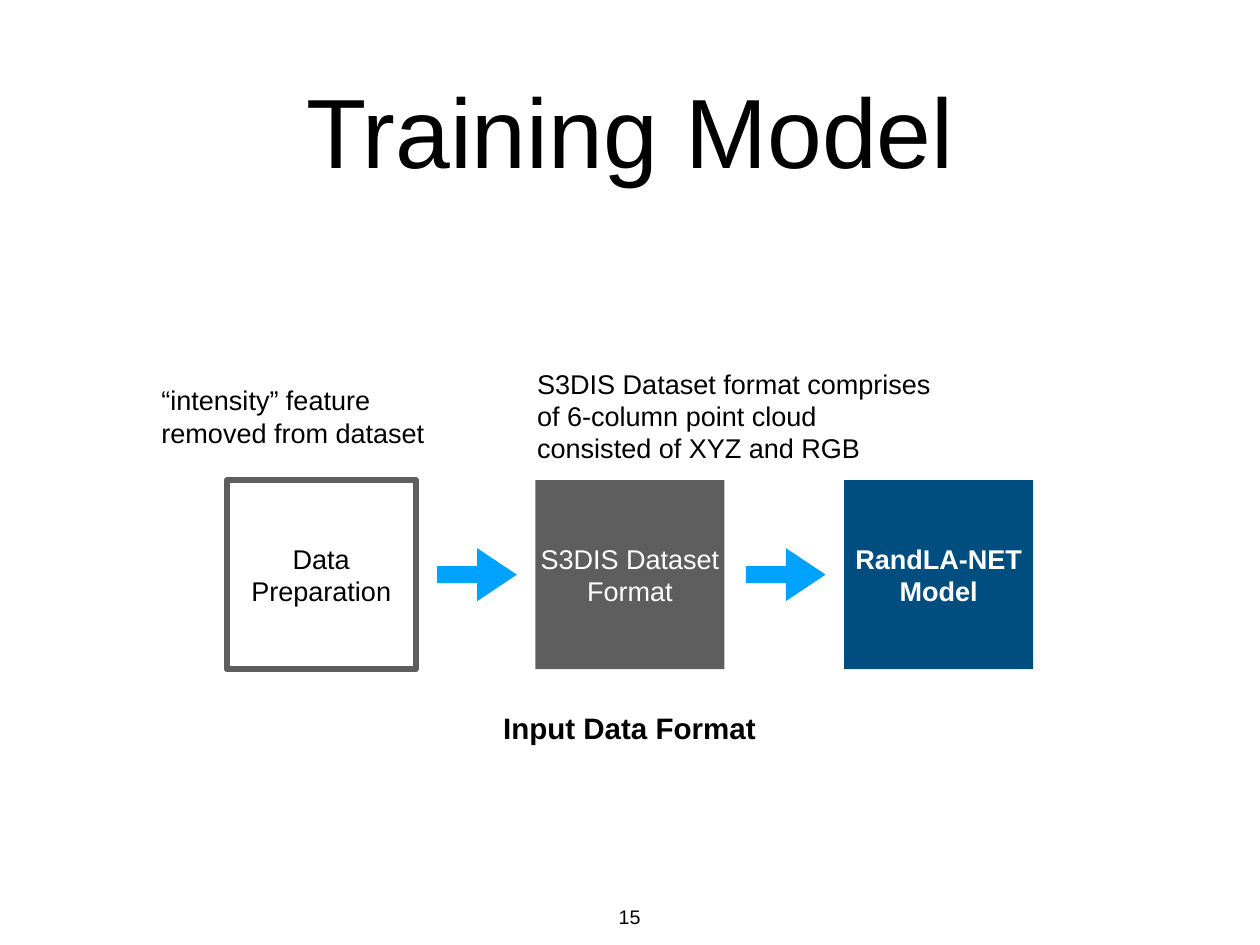
import pptx
import pptx.util
import pptx.dml.color
import pptx.enum.shapes
import pptx.enum.text

Cm = pptx.util.Cm
Pt = pptx.util.Pt
Align = pptx.enum.text.PP_ALIGN
Anchor = pptx.enum.text.MSO_ANCHOR
Preset = pptx.enum.shapes.MSO_SHAPE

THEME = {
    "font": "Arial",
    "black": "000000",
    "white": "FFFFFF",
    "grey": "5E5E5E",
    "navy": "004D80",
    "arrow": "00A2FF",
    "title": 80,
    "caption": 24,
    "body": 22,
    "number": 16,
}


def color(name):
    return pptx.dml.color.RGBColor.from_string(THEME[name])


def write(shape, text, size, ink="black", bold=False, align=Align.CENTER, anchor=Anchor.MIDDLE, wrap=True):
    frame = shape.text_frame
    frame.text = text
    frame.word_wrap = wrap
    frame.auto_size = pptx.enum.text.MSO_AUTO_SIZE.NONE
    frame.vertical_anchor = anchor
    frame.margin_left = frame.margin_right = Cm(0.13)
    frame.margin_top = frame.margin_bottom = Cm(0.13)
    para = frame.paragraphs[0]
    para.alignment = align
    for span in para.runs:
        span.font.name = THEME["font"]
        span.font.size = Pt(THEME[size])
        span.font.bold = bold
        span.font.color.rgb = color(ink)


deck = pptx.Presentation()
deck.slide_width = Cm(36.12)
deck.slide_height = Cm(27.1)
page = deck.slides.add_slide(deck.slide_layouts[5])
page.background.fill.solid()
page.background.fill.fore_color.rgb = color("white")

title = page.shapes.title
title.left, title.top, title.width, title.height = Cm(2.64), Cm(0.71), Cm(30.84), Cm(6)
write(title, "Training Model", "title")

first_left, pitch = 6.5, 8.85
stages = [
    ("Data Preparation", None, "black", False),
    ("S3DIS Dataset Format", "grey", "white", False),
    ("RandLA-NET Model", "navy", "white", True),
]
for index, (label, fill, ink, bold) in enumerate(stages):
    left = first_left + index * pitch
    box = page.shapes.add_shape(Preset.RECTANGLE, Cm(left), Cm(13.77), Cm(5.42), Cm(5.42))
    box.shadow.inherit = False
    if fill:
        box.fill.solid()
        box.fill.fore_color.rgb = color(fill)
        box.line.fill.background()
    else:
        box.fill.background()
        box.line.color.rgb = color("grey")
        box.line.width = Pt(5)
    write(box, label, "body", ink, bold)

    if index < len(stages) - 1:
        arrow = page.shapes.add_shape(Preset.RIGHT_ARROW, Cm(left + 6.03), Cm(15.72), Cm(2.29), Cm(1.52))
        arrow.shadow.inherit = False
        arrow.adjustments[0] = 0.32
        arrow.adjustments[1] = 0.75
        arrow.fill.solid()
        arrow.fill.fore_color.rgb = color("arrow")
        arrow.line.fill.background()

notes = [
    ("“intensity” feature removed from dataset", 4.5, 10.85, 8.18, 2.16),
    ("S3DIS Dataset format comprises of 6-column point cloud consisted of XYZ and RGB", 15.27, 10.36, 11.66, 3.12),
]
for text, left, top, width, height in notes:
    note = page.shapes.add_textbox(Cm(left), Cm(top), Cm(width), Cm(height))
    write(note, text, "body", align=Align.LEFT)

caption = page.shapes.add_textbox(Cm(14.22), Cm(20.24), Cm(7.65), Cm(1.27))
write(caption, "Input Data Format", "caption", bold=True, wrap=False)

number = page.shapes.add_textbox(Cm(17.58), Cm(25.83), Cm(0.94), Cm(0.89))
write(number, "15", "number", anchor=Anchor.TOP, wrap=False)

deck.save("out.pptx")
